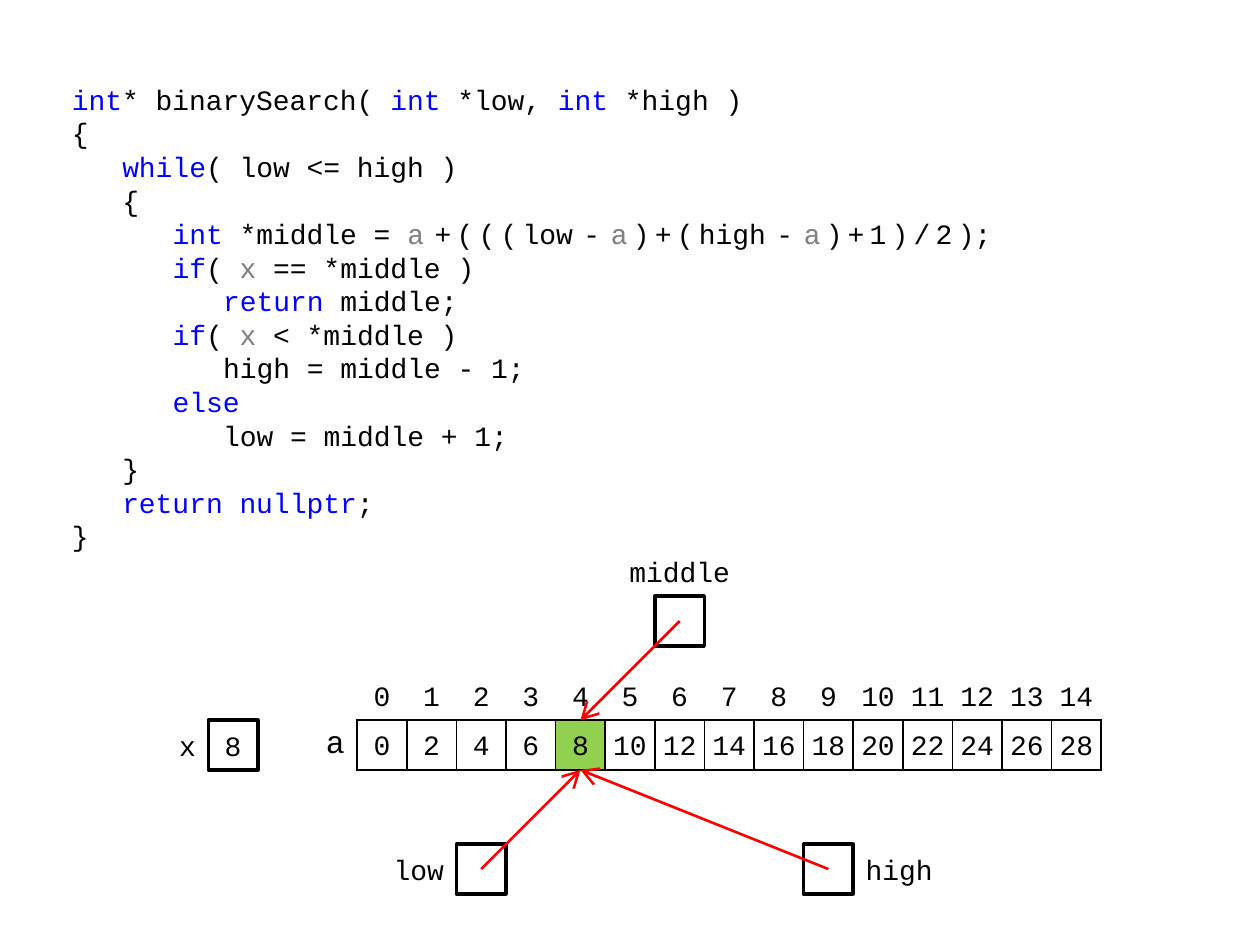
from dataclasses import dataclass

from lxml import etree
from pptx import Presentation, util as u
from pptx.dml.color import RGBColor
from pptx.enum import shapes, text
from pptx.oxml.ns import qn


@dataclass(frozen=True)
class Theme:
    """Colours, font and type sizes of the slide."""
    ink: str = "000000"
    keyword: str = "0000FF"
    faded: str = "808080"
    paper: str = "FFFFFF"
    found: str = "92D050"
    arrow: str = "FF0000"
    font: str = "Courier New"
    size: int = 16
    name_size: int = 18


THEME = Theme()
ALIGN = text.PP_ALIGN
KEYWORDS = {"int", "while", "if", "return", "else", "return nullptr"}
OUTER_NAMES = {"a", "x"}

# Indent level, runs parted by "|", letter spacing of each run in points
CODE = [
    (0, "int|* binarySearch( |int| *low, |int| *high )"),
    (0, "{"),
    (1, "while|( low <= high )"),
    (1, "{"),
    (2, "int| *middle = |a|+(((|lo|w-|a|)+(|hig|h-|a|)+1)/2|);",
     (0, 0, 6, 3, 0, 6, 3, 3, 0, 6, 3, 3, 0)),
    (2, "if|( |x| == *middle )"),
    (3, "return| middle;"),
    (2, "if|( |x| < *middle )"),
    (3, "high = middle - 1;"),
    (2, "else"),
    (3, "low = middle + 1;"),
    (1, "}"),
    (1, "return nullptr|;"),
    (0, "}"),
]
VALUES = list(range(0, 30, 2))
SOUGHT = 8
FOUND = VALUES.index(SOUGHT)

# Grid in centimetres: every cell and box is one unit wide and high
UNIT = 1
LEFT, TOP = 6.2, 13.52
ARRAY_TOP = TOP + UNIT
ARRAY_BOTTOM = ARRAY_TOP + UNIT
FOUND_X = LEFT + (FOUND + 1.5) * UNIT
POINTER_TOP = TOP + 3.5 * UNIT
MIDDLE_TOP = TOP - 1.5 * UNIT

# Box left and top, label left, top and width, label alignment, arrow end height
POINTERS = {
    "middle": (LEFT + 7, MIDDLE_TOP, LEFT + 6, MIDDLE_TOP - UNIT, 3, ALIGN.CENTER, ARRAY_TOP),
    "low": (LEFT + 3, POINTER_TOP, LEFT + 1.5, POINTER_TOP, 1.5, ALIGN.RIGHT, ARRAY_BOTTOM),
    "high": (LEFT + 10, POINTER_TOP, LEFT + 11, POINTER_TOP, 2, ALIGN.LEFT, ARRAY_BOTTOM),
}


def apply(target, **values):
    """Set several attributes of an object."""
    for name, value in values.items():
        setattr(target, name, value)


def add_run(paragraph, wording, color=THEME.ink, size=THEME.size):
    """Add a run in the theme font."""
    run = paragraph.add_run()
    run.text = wording
    apply(run.font, name=THEME.font, size=u.Pt(size))
    run.font.color.rgb = RGBColor.from_string(color)
    return run


def add_text(slide, left, top, width, height, **frame_values):
    """Add a text box and return its frame."""
    box = slide.shapes.add_textbox(*map(u.Cm, (left, top, width, height)))
    apply(box.text_frame, **frame_values)
    return box.text_frame


def add_code(slide):
    """Add the listing, with coloured names and indents."""
    frame = add_text(slide, 1.2, 1.53, 19.5, 10, word_wrap=True, margin_top=u.Cm(0.13))
    for number, (level, runs, *tracking) in enumerate(CODE):
        paragraph = frame.add_paragraph() if number else frame.paragraphs[0]
        indent = u.Pt(level * 3 * 0.6 * THEME.size)
        paragraph._p.get_or_add_pPr().set("marL", str(indent))
        pieces = runs.split("|")
        gaps = tracking[0] if tracking else [0] * len(pieces)
        for piece, gap in zip(pieces, gaps):
            color = (THEME.keyword if piece in KEYWORDS
                     else THEME.faded if piece in OUTER_NAMES else THEME.ink)
            run = add_run(paragraph, piece, color)
            if gap:
                run.font._element.set("spc", str(gap * 100))


def add_label(slide, wording, left, top, width, alignment):
    """Add a one-line label, one unit high."""
    frame = add_text(slide, left, top, width, UNIT, word_wrap=False,
                     vertical_anchor=text.MSO_ANCHOR.MIDDLE)
    if alignment == ALIGN.RIGHT:
        frame.margin_left = 0
    frame.paragraphs[0].alignment = alignment
    add_run(frame.paragraphs[0], wording)


def add_box(slide, left, top, wording=""):
    """Add a square variable box."""
    box = slide.shapes.add_shape(shapes.MSO_SHAPE.RECTANGLE,
                                 *map(u.Cm, (left, top, UNIT, UNIT)))
    box.shadow.inherit = False
    box.fill.solid()
    box.fill.fore_color.rgb = RGBColor.from_string(THEME.paper)
    box.line.color.rgb = RGBColor.from_string(THEME.ink)
    box.line.width = u.Pt(2)
    if wording:
        box.text_frame.vertical_anchor = text.MSO_ANCHOR.MIDDLE
        box.text_frame.paragraphs[0].alignment = ALIGN.CENTER
        add_run(box.text_frame.paragraphs[0], wording)


def add_arrow(slide, *ends):
    """Add a red arrow between two points."""
    arrow = slide.shapes.add_connector(shapes.MSO_CONNECTOR.STRAIGHT, *map(u.Cm, ends))
    arrow.line.color.rgb = RGBColor.from_string(THEME.arrow)
    arrow.line.width = u.Pt(1.5)
    etree.SubElement(arrow.line._get_or_add_ln(), qn("a:tailEnd"),
                     type="arrow", w="lg", len="lg")
    etree.SubElement(arrow._element.spPr, qn("a:effectLst"))


def set_borders(cell, borders):
    """Draw the given cell sides, as side letter and width in points."""
    properties = cell._tc.get_or_add_tcPr()
    for side in "LRTB":
        if side in borders:
            line = etree.SubElement(properties, qn("a:ln" + side), w=str(u.Pt(borders[side])))
            fill = etree.SubElement(line, qn("a:solidFill"))
            etree.SubElement(fill, qn("a:srgbClr"), val=THEME.ink)


def fill_cell(cell, wording, borders, color=None, size=THEME.size,
              alignment=ALIGN.CENTER, margin=0):
    """Write and format one table cell."""
    apply(cell, margin_left=u.Cm(margin), margin_right=u.Cm(margin), margin_top=0,
          margin_bottom=0, vertical_anchor=text.MSO_ANCHOR.MIDDLE)
    paragraph = cell.text_frame.paragraphs[0]
    apply(paragraph, alignment=alignment, line_spacing=1.2, space_before=u.Pt(size * 0.2))
    paragraph.font.size = u.Pt(size)
    if wording:
        add_run(paragraph, wording, size=size)
    set_borders(cell, borders)
    if color:
        cell.fill.solid()
        cell.fill.fore_color.rgb = RGBColor.from_string(color)
    else:
        cell.fill.background()


def add_array(slide):
    """Add the array table: indices above values."""
    columns = len(VALUES) + 1
    frame = slide.shapes.add_table(2, columns, *map(u.Cm, (LEFT, TOP, columns * UNIT, 2 * UNIT)))
    table = frame.table
    apply(table, first_row=False, horz_banding=False)
    no_style = "{2D5ABB26-0587-4C30-8999-92F81FD0307C}"
    table._tbl.tblPr.find(qn("a:tableStyleId")).text = no_style
    fill_cell(table.cell(0, 0), "", {})
    fill_cell(table.cell(1, 0), "a", {"R": 1.5}, size=THEME.name_size,
              alignment=ALIGN.RIGHT, margin=0.25)
    table.cell(1, 0).vertical_anchor = text.MSO_ANCHOR.TOP
    for index, value in enumerate(VALUES):
        borders = {"L": 1 if index else 1.5, "T": 1.5, "B": 1.5,
                   "R": 1 if index < len(VALUES) - 1 else 1.5}
        fill_cell(table.cell(0, index + 1), str(index), {"B": 1.5})
        fill_cell(table.cell(1, index + 1), str(value), borders,
                  THEME.found if index == FOUND else None)


presentation = Presentation()
apply(presentation, slide_width=u.Cm(25.4), slide_height=u.Cm(19.05))
slide = presentation.slides.add_slide(presentation.slide_layouts[6])
add_code(slide)
add_array(slide)
for name, (left, top, label_left, label_top, width, alignment, end) in POINTERS.items():
    add_box(slide, left, top)
    add_label(slide, name, label_left, label_top, width, alignment)
    add_arrow(slide, left + UNIT / 2, top + UNIT / 2, FOUND_X, end)
add_box(slide, LEFT - 2, ARRAY_TOP, str(SOUGHT))
add_label(slide, "x", LEFT - 3, ARRAY_TOP, UNIT, ALIGN.RIGHT)
presentation.save("out.pptx")
